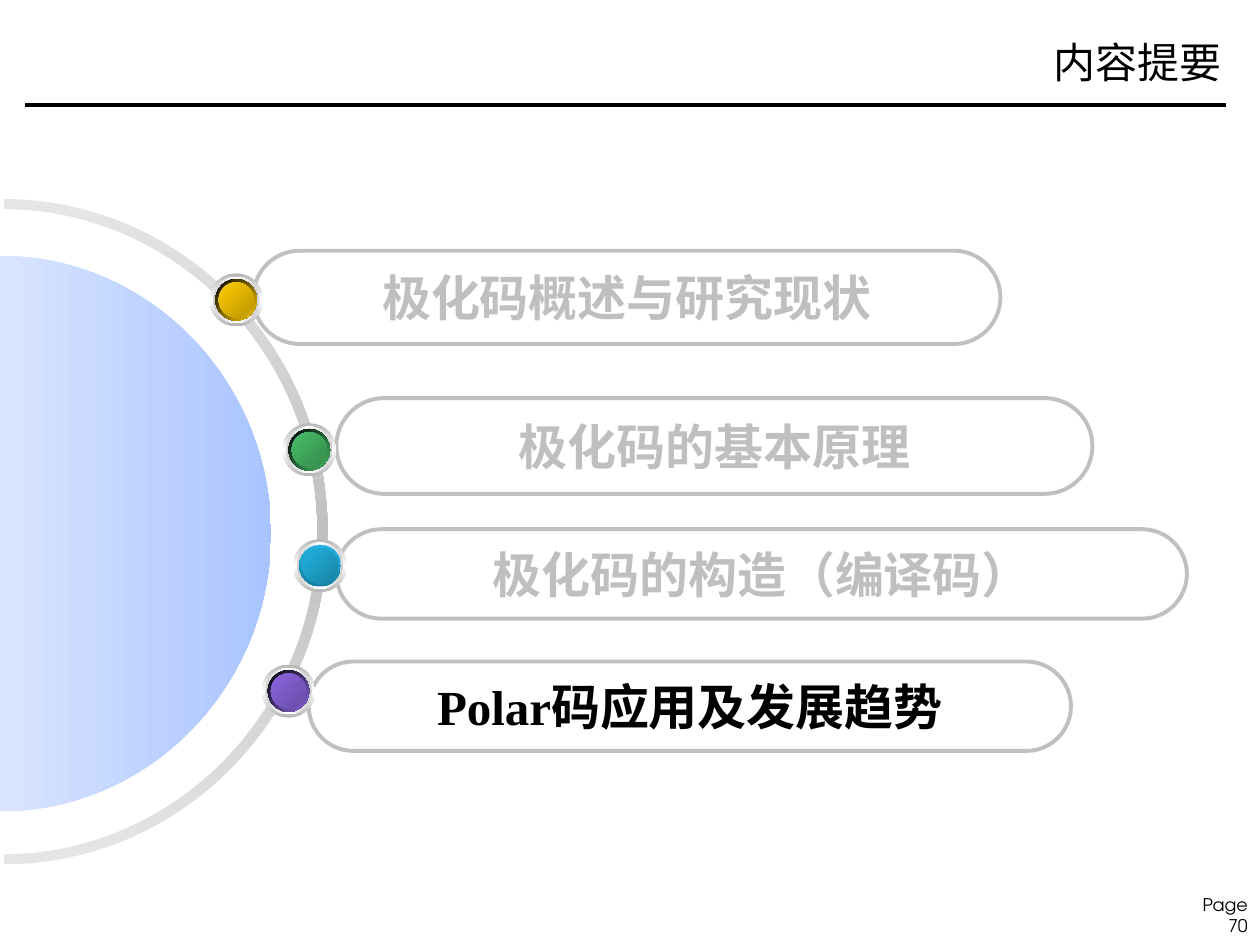
from pptx import Presentation
from pptx.dml.color import RGBColor
from pptx.enum.shapes import MSO_CONNECTOR, MSO_SHAPE
from pptx.enum.text import MSO_ANCHOR, PP_ALIGN
from pptx.oxml import parse_xml
from pptx.oxml.ns import nsdecls, qn
from pptx.util import Inches, Pt

LINE, OVAL, PILL = MSO_CONNECTOR.STRAIGHT, MSO_SHAPE.OVAL, MSO_SHAPE.ROUNDED_RECTANGLE
RIGHT, CENTER, MIDDLE = PP_ALIGN.RIGHT, PP_ALIGN.CENTER, MSO_ANCHOR.MIDDLE
rgb = RGBColor.from_string

prs = Presentation()
prs.slide_width, prs.slide_height = Inches(10), Inches(7.5)
COL, ROW = prs.slide_width / 100, prs.slide_height / 75
slide = prs.slides.add_slide(prs.slide_layouts[5])


def grid(x, y, w, h):
    return [round(x * COL), round(y * ROW), round(w * COL), round(h * ROW)]


def shade(s, colors, angle):
    s.shadow.inherit = False
    s.line.fill.background()
    s.fill.background()
    stops = "".join(
        f'<a:gs pos="{100000 * i // (len(colors) - 1)}"><a:srgbClr val="{c}"/></a:gs>'
        for i, c in enumerate(colors))
    sp_pr = s._element.spPr
    sp_pr.replace(sp_pr.find(qn("a:noFill")), parse_xml(
        f'<a:gradFill {nsdecls("a")} rotWithShape="1"><a:gsLst>{stops}</a:gsLst>'
        f'<a:lin ang="{angle * 60000}" scaled="0"/></a:gradFill>'))


page = slide.shapes.add_textbox(*grid(93, 70.5, 7, 2.6))
page.text_frame.word_wrap = True
p = page.text_frame.paragraphs[0]
p.text, p.alignment = "Page 70", RIGHT
for name, value in {"size": Pt(10), "name": "TeX Gyre Adventor"}.items():
    setattr(p.font, name, value)
p.font.color.rgb = rgb("000000")

x1, y1, x2, y2 = grid(2, 8.35, 97.3, 8.35)
rule = slide.shapes.add_connector(LINE, x1, y1, x2, y2)
rule.line.color.rgb, rule.line.width = rgb("000000"), Pt(2)
rule._element.spPr.append(parse_xml(f'<a:effectLst {nsdecls("a")}/>'))

title = slide.shapes.title
title.left, title.top, title.width, title.height = grid(72.75, 1.15, 25.2, 7.5)
tf = title.text_frame
tf.vertical_anchor = MIDDLE
p = tf.paragraphs[0]
p.text, p.alignment = "内容提要", RIGHT
for name, value in {"size": Pt(24), "name": "Times New Roman"}.items():
    setattr(p.font, name, value)
p.font.color.rgb = rgb("000000")

K = 0.55
ARC = [(0, -1), (K, -1), (1, -K), (1, 0), (1, K), (K, 1), (0, 1)]
ring = [(0.3 + 24.9 * x, 42.2 + 25.6 * y) for x, y in ARC]
ring += [(0.3 + 25.7 * x, 42.2 + 26.4 * y) for x, y in reversed(ARC)]
disc = [(21.5 * x, 42.35 + 22.05 * y) for x, y in ARC]
for outline, colors, angle in [
    (ring, ["E5E5E5", "C0C0C0", "E5E5E5"], 90),
    (disc, ["D9E5FF", "A9C4FF"], 0),
]:
    points = [(round(x * COL), round(y * ROW)) for x, y in outline]
    pen = slide.shapes.build_freeform(*points[0])
    pen.add_line_segments(points[1:], close=True)
    s = pen.convert_to_shape()
    segments = list(s._element.iter(qn("a:lnTo")))
    for start in range(0, len(segments), 7):
        for first in (start, start + 3):
            curve = parse_xml(f'<a:cubicBezTo {nsdecls("a")}/>')
            segments[first].addprevious(curve)
            for segment in segments[first:first + 3]:
                curve.append(segment[0])
                segment.getparent().remove(segment)
    shade(s, colors, angle)

TOPICS = [
    ((24.5, 52.5, 60.5, 7.1), "000000", [("Polar", "Times New Roman"), ("码应用及发展趋势", "Arial")]),
    ((26.7, 42, 67.5, 7.1), "BFBFBF", [("极化码的构造（编译码）", "Arial")]),
    ((26.7, 31.6, 60, 7.6), "BFBFBF", [("极化码的基本原理", "Arial")]),
    ((20.1, 19.9, 59.3, 7.4), "BFBFBF", [("极化码概述与研究现状", "Arial")]),
]
for place, color, runs in TOPICS:
    s = slide.shapes.add_shape(PILL, *grid(*place))
    s.adjustments[0] = 0.5
    s.shadow.inherit = False
    s.fill.background()
    s.line.color.rgb, s.line.width = rgb("C0C0C0"), Pt(2.25)
    tf = s.text_frame
    tf.word_wrap, tf.vertical_anchor = False, MIDDLE
    p = tf.paragraphs[0]
    p.alignment = CENTER
    for text, face in runs:
        r = p.add_run()
        r.text = text
        for name, value in {"size": Pt(28), "bold": True, "name": face}.items():
            setattr(r.font, name, value)
        r.font.color.rgb = rgb(color)

BEADS = [
    (18.75, 23.8, ["000000", "FFCC00"], 45, ["FFCC00", "BA9500"]),
    (24.55, 35.7, ["000000", "48BE67"], 45, ["48BE67", "358B4B"]),
    (25.4, 44.9, ["21B3E1", "1880A1"], 90, ["21B3E1", "1883A4"]),
    (22.9, 54.85, ["000000", "8D67E1"], 45, ["8D67E1", "674BA4"]),
]
for x, y, rim, rim_angle, core in BEADS:
    bead = slide.shapes.add_group_shape()
    for size, colors, angle in [
        (4.2, ["B6B6B6", "FFFFFF", "B6B6B6"], 90),
        (3.7, ["D1D1D1", "FFFFFF", "D1D1D1"], 0),
        (3.3, ["FFFFFF", "6699FF", "FFFFFF"], 45),
        (3.3, rim, rim_angle),
        (2.8, ["4E75C3", "6699FF", "4E75C3"], 315),
        (2.8, core, 45),
    ]:
        place = grid(x - size / 2, y - size / 2, size, size)
        shade(bead.shapes.add_shape(OVAL, *place), colors, angle)

prs.save("out.pptx")
